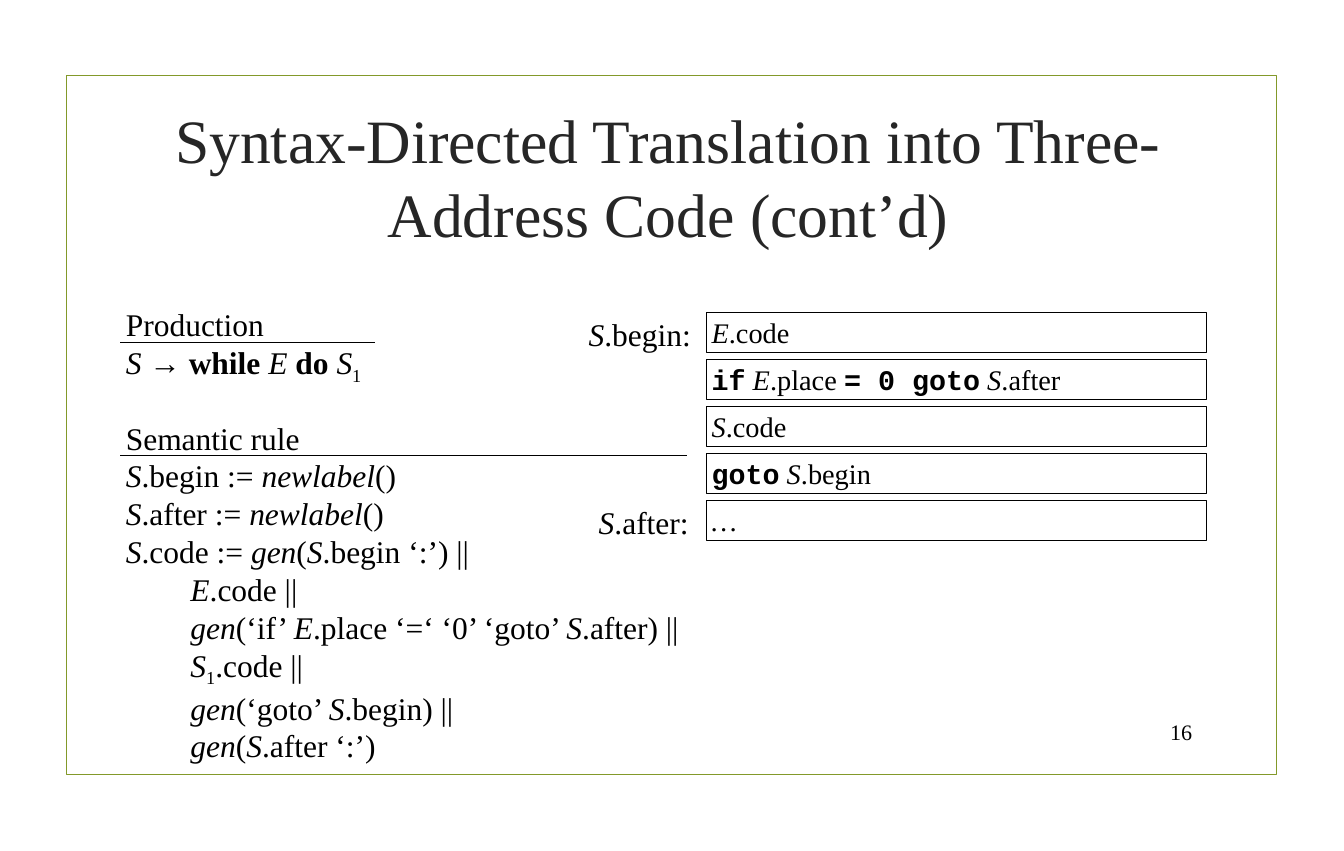
import itertools

import pptx
import pptx.dml.color
import pptx.enum.shapes
import pptx.enum.text
import pptx.oxml.ns
import pptx.util
from lxml import etree

Inches = pptx.util.Inches
ALIGN = pptx.enum.text.PP_ALIGN
ANCHOR = pptx.enum.text.MSO_ANCHOR
AUTO_SIZE = pptx.enum.text.MSO_AUTO_SIZE

COLORS = {"text": "000000", "title": "262626", "frame": "83992A", "line": "000000"}
MARKS = {"_": "italic", "*": "bold", "`": "code", "~": "subscript"}

PRODUCTION = ["Production", "_S_ → *while* _E_ *do* _S_~1~"]
RULES = [
    "Semantic rule",
    "_S_.begin := _newlabel_()",
    "_S_.after := _newlabel_()",
    "_S_.code := _gen_(_S_.begin ‘:’) ||",
]
RULE_STEPS = [
    "_E_.code ||",
    "_gen_(‘if’ _E_.place ‘=‘ ‘0’ ‘goto’ _S_.after) ||",
    "_S_~1~.code ||",
    "_gen_(‘goto’ _S_.begin) ||",
    "_gen_(_S_.after ‘:’)",
]
CODE_ROWS = [
    "_E_.code",
    "`if` _E_.place `= 0 goto` _S_.after",
    "_S_.code",
    "`goto` _S_.begin",
    "_…_",
]
CODE_TOP = 5.5
CODE_PITCH = 0.83


def rgb(name):
    return pptx.dml.color.RGBColor.from_string(COLORS[name])


def split_marks(text):
    active = set()
    for is_mark, group in itertools.groupby(text, lambda character: character in MARKS):
        if is_mark:
            for mark in group:
                active ^= {MARKS[mark]}
        else:
            yield "".join(group), frozenset(active)


def write_text(paragraph, text, size=40, color="text", align=ALIGN.LEFT, indent=0):
    paragraph.alignment = align
    if indent:
        properties = paragraph._p.get_or_add_pPr()
        properties.set("marL", str(Inches(indent)))
        properties.set("indent", "0")
    for words, styles in split_marks(text):
        run = paragraph.add_run()
        run.text = words
        run.font.size = pptx.util.Pt(size)
        run.font.name = "Courier New" if "code" in styles else "Times New Roman"
        run.font.bold = bool(styles & {"bold", "code"})
        run.font.italic = "italic" in styles
        run.font.color.rgb = rgb(color)
        if "subscript" in styles:
            run._r.get_or_add_rPr().set("baseline", "-25000")


class SlideBuilder:
    def __init__(self, slide):
        self.slide = slide

    def title(self, text, left, top, width, height):
        shape = self.slide.shapes.title
        shape.left, shape.top = Inches(left), Inches(top)
        shape.width, shape.height = Inches(width), Inches(height)
        frame = shape.text_frame
        frame.word_wrap = True
        frame.auto_size = AUTO_SIZE.NONE
        frame.vertical_anchor = ANCHOR.MIDDLE
        write_text(frame.paragraphs[0], text, size=78.2, color="title", align=ALIGN.CENTER)

    def text(self, lines, left, top, width, height, steps=(), wrap=True,
             anchor=ANCHOR.TOP, **style):
        shape = self.slide.shapes.add_textbox(
            Inches(left), Inches(top), Inches(width), Inches(height))
        frame = shape.text_frame
        frame.word_wrap = wrap
        frame.vertical_anchor = anchor
        indented = [(line, 0) for line in lines] + [(step, 1.14) for step in steps]
        for index, (line, indent) in enumerate(indented):
            paragraph = frame.add_paragraph() if index else frame.paragraphs[0]
            write_text(paragraph, line, indent=indent, **style)

    def box(self, left, top, width, height, line="line", weight=0.75, text=None):
        shape = self.slide.shapes.add_shape(
            pptx.enum.shapes.MSO_SHAPE.RECTANGLE,
            Inches(left), Inches(top), Inches(width), Inches(height))
        shape.shadow.inherit = False
        shape.fill.background()
        shape.line.color.rgb = rgb(line)
        shape.line.width = pptx.util.Pt(weight)
        if text:
            frame = shape.text_frame
            frame.word_wrap = True
            frame.vertical_anchor = ANCHOR.TOP
            write_text(frame.paragraphs[0], text, size=36)

    def rule(self, left, top, width):
        connector = self.slide.shapes.add_connector(
            pptx.enum.shapes.MSO_CONNECTOR.STRAIGHT,
            Inches(left), Inches(top), Inches(left + width), Inches(top))
        connector.line.color.rgb = rgb("line")
        connector.line.width = pptx.util.Pt(0.75)
        etree.SubElement(connector._element.spPr, pptx.oxml.ns.qn("a:effectLst"))


def main():
    presentation = pptx.Presentation()
    presentation.slide_width = Inches(23.7)
    presentation.slide_height = Inches(15)
    builder = SlideBuilder(presentation.slides.add_slide(presentation.slide_layouts[5]))

    builder.box(1.18, 1.33, 21.33, 12.33, line="frame", weight=1.25)
    builder.title("Syntax-Directed Translation into Three-Address Code (cont’d)",
                  2.45, 1.68, 18.67, 2.85)
    builder.text(["16"], 20.06, 12.59, 1.06, 0.61,
                 anchor=ANCHOR.MIDDLE, size=28, align=ALIGN.RIGHT)

    builder.text(PRODUCTION, 2.12, 5.33, 4.42, 1.45, wrap=False)
    builder.rule(2.12, 6.03, 4.5)
    builder.text(RULES, 2.12, 7.33, 10.06, 6.16, steps=RULE_STEPS, wrap=False)
    builder.rule(2.12, 8.03, 10)

    for index, row in enumerate(CODE_ROWS):
        builder.box(12.45, CODE_TOP + index * CODE_PITCH, 8.83, 0.71, text=row)
    builder.text(["_S_.begin:"], 10.28, CODE_TOP, 3.08, 0.77)
    builder.text(["_S_.after:"], 10.46, CODE_TOP + 4 * CODE_PITCH, 2.77, 0.77)

    presentation.save("out.pptx")


if __name__ == "__main__":
    main()
